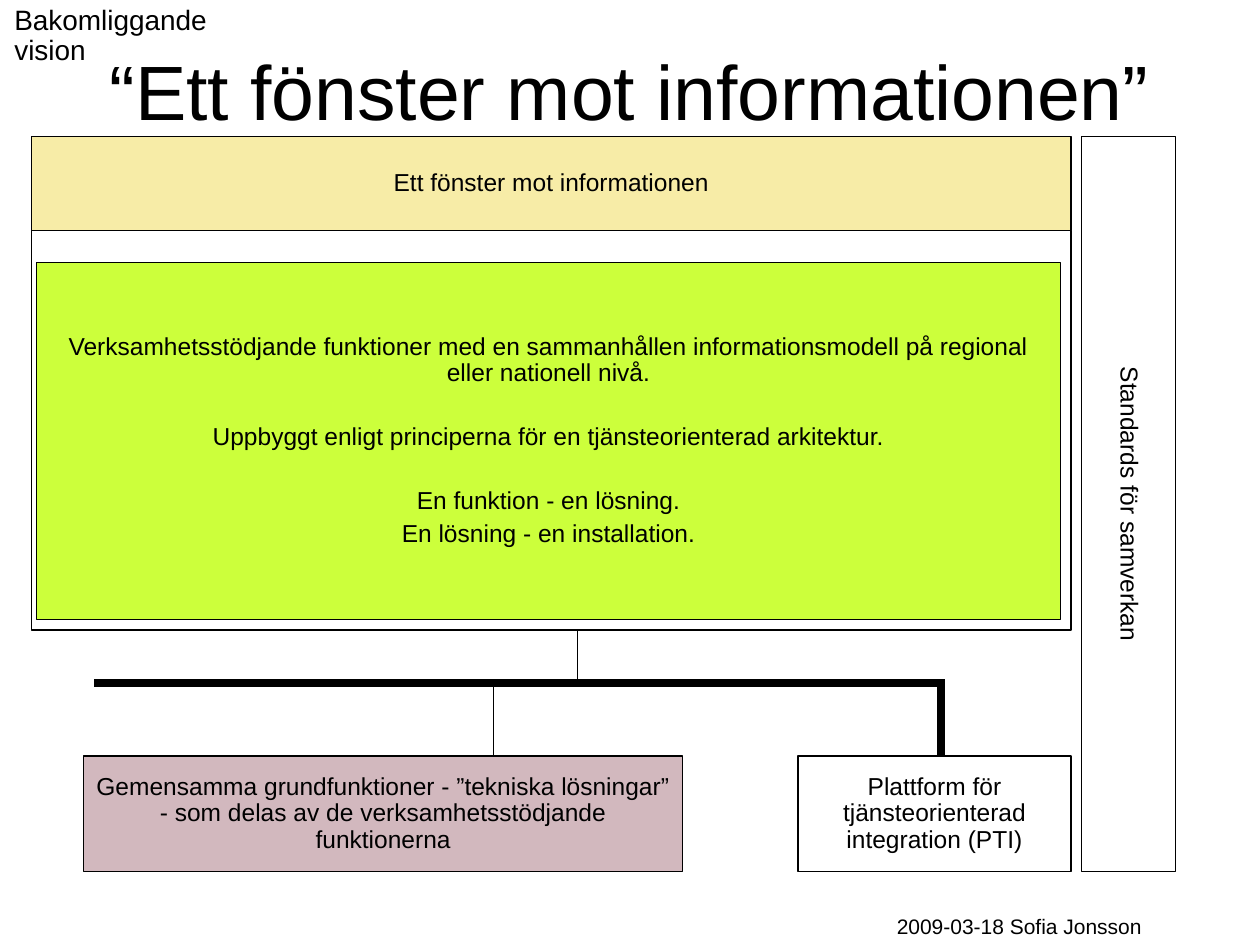
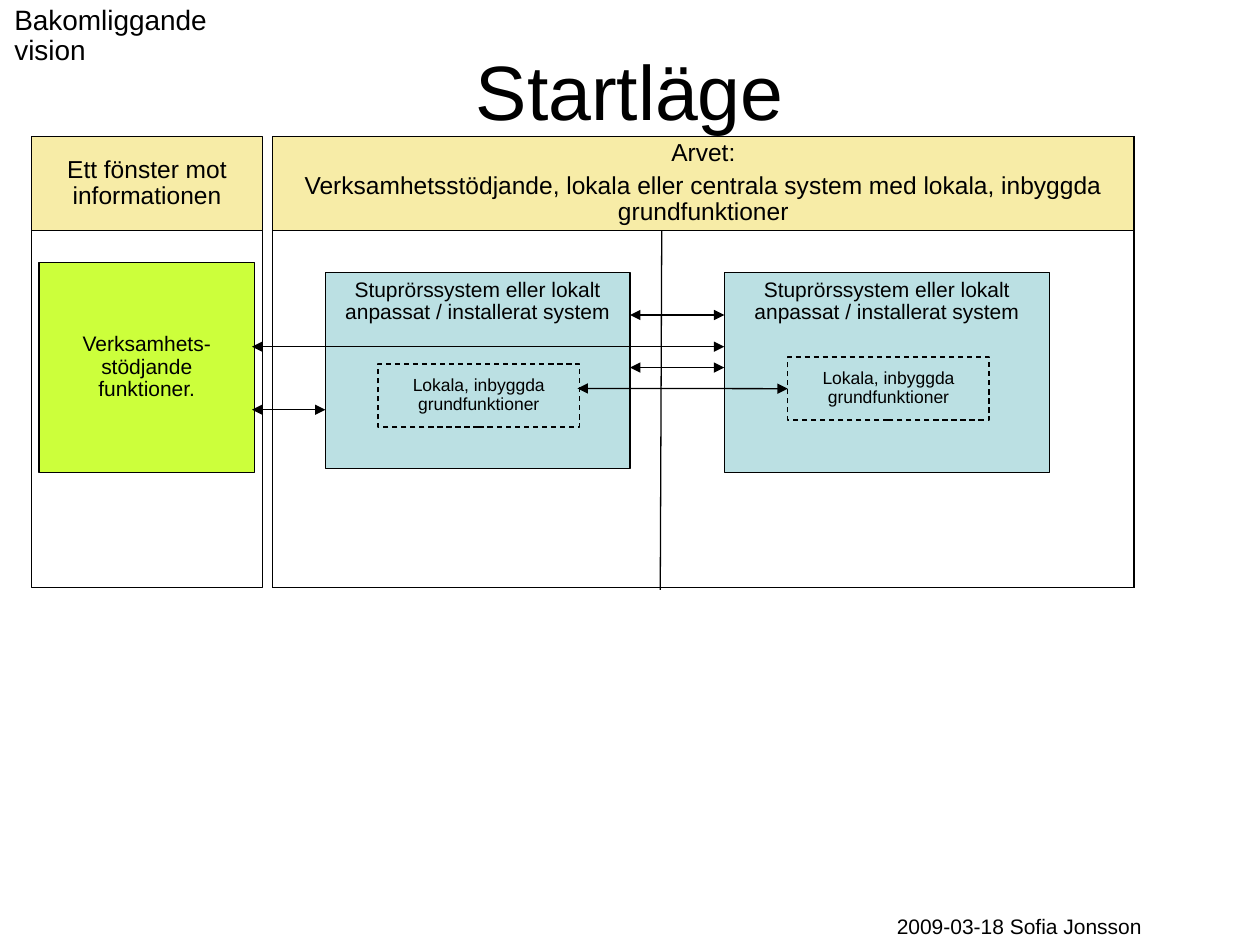
"""Build two slides on the vision of one window onto the information."""
from lxml.etree import SubElement
from pptx import Presentation
from pptx.dml.color import RGBColor
from pptx.enum.dml import MSO_LINE
from pptx.enum.shapes import MSO_CONNECTOR, MSO_SHAPE
from pptx.enum.text import MSO_ANCHOR, PP_ALIGN
from pptx.oxml.ns import qn
from pptx.util import Cm, Pt

BLACK = RGBColor(0x00, 0x00, 0x00)
WHITE = RGBColor(0xFF, 0xFF, 0xFF)
CREAM = RGBColor(0xF7, 0xEC, 0xA7)
LIME = RGBColor(0xCC, 0xFF, 0x3B)
ROSE = RGBColor(0xD2, 0xB8, 0xBE)
AQUA = RGBColor(0xBB, 0xE0, 0xE3)
FONT = "Arial"
THIN, THICK = 0.75, 4.5
TOP, BAND = 2.75, 1.9
BASE = TOP + BAND


def write(shape, text, size, align=PP_ALIGN.CENTER, space=0.9, gaps=()):
    frame = shape.text_frame
    frame.text = text
    for spot, para in enumerate(frame.paragraphs):
        para.alignment = align
        para.line_spacing = space
        if spot:
            para.space_before = Pt(gaps[spot - 1])
        for run in para.runs:
            run.font.name = FONT
            run.font.size = Pt(size)
            run.font.color.rgb = BLACK


def join(slide, x1, y1, x2, y2, width=THIN, heads=False):
    line = slide.shapes.add_connector(
        MSO_CONNECTOR.STRAIGHT, Cm(x1), Cm(y1), Cm(x2), Cm(y2))
    line.line.color.rgb = BLACK
    line.line.width = Pt(width)
    if heads:
        for tag in ("a:headEnd", "a:tailEnd"):
            SubElement(line.line._get_or_add_ln(), qn(tag), type="triangle")
    SubElement(line._element.spPr, qn("a:effectLst"))
    return line


deck = Presentation()
deck.slide_width, deck.slide_height = Cm(25.4), Cm(19.05)
goal, start = [deck.slides.add_slide(deck.slide_layouts[6]) for _ in range(2)]

WINDOW = "Ett fönster mot informationen"
LOCAL = "Lokala, inbyggda grundfunktioner"
SILO = "Stuprörssystem eller lokalt anpassat / installerat system"
VISION = "\n".join([
    "Verksamhetsstödjande funktioner med en sammanhållen "
    "informationsmodell på regional eller nationell nivå.",
    "Uppbyggt enligt principerna för en tjänsteorienterad arkitektur.",
    "En funktion - en lösning.",
    "En lösning - en installation."])
SHARED = ("Gemensamma grundfunktioner - ”tekniska lösningar” - som delas "
          "av de verksamhetsstödjande funktionerna")
LEGACY = ("Arvet:\nVerksamhetsstödjande, lokala eller centrala system "
          "med lokala, inbyggda grundfunktioner")

boxes = [
    (goal, 0.64, BASE, 20.95, 8.05, None, "", 14, ()),
    (goal, 0.64, TOP, 20.95, BAND, CREAM, WINDOW, 14, ()),
    (goal, 0.74, 5.29, 20.64, 7.2, LIME, VISION, 14, (21.5, 21.5, 3.5)),
    (goal, 16.09, 15.24, 5.5, 2.33, WHITE,
     "Plattform för tjänsteorienterad integration (PTI)", 14, ()),
    (goal, 1.69, 15.24, 12.07, 2.33, ROSE, SHARED, 14, ()),
    (goal, 15.34, 9.21, 14.82, BAND, WHITE, "Standards för samverkan", 14, ()),
    (start, 0.64, BASE, 4.65, 7.2, None, "", 14, ()),
    (start, 14.6, 5.5, 6.56, 4.02, AQUA, SILO, 12, ()),
    (start, 5.5, TOP, 17.36, BAND, CREAM, LEGACY, 14, (3.5,)),
    (start, 0.64, TOP, 4.65, BAND, CREAM, WINDOW, 14, ()),
    (start, 0.79, 5.29, 4.34, 4.23, LIME,
     "Verksamhets- stödjande funktioner.", 12, ()),
    (start, 6.56, 5.5, 6.14, 3.95, AQUA, SILO, 12, ()),
    (start, 7.62, 7.34, 4.06, 1.27, AQUA, LOCAL, 10, ()),
    (start, 15.88, 7.2, 4.06, 1.27, AQUA, LOCAL, 10, ()),
]
for slide, x, y, w, h, fill, text, size, gaps in boxes:
    box = slide.shapes.add_shape(
        MSO_SHAPE.RECTANGLE, Cm(x), Cm(y), Cm(w), Cm(h))
    box.shadow.inherit = False
    box.line.color.rgb = BLACK
    box.line.width = Pt(THIN)
    if fill is None:
        box.fill.background()
    else:
        box.fill.solid()
        box.fill.fore_color.rgb = fill
    if text:
        write(box, text, size, gaps=gaps)
    box.text_frame.vertical_anchor = (
        MSO_ANCHOR.TOP if text == SILO else MSO_ANCHOR.MIDDLE)
    if text == LOCAL:
        box.line.dash_style = MSO_LINE.DASH
    if text.startswith("Standards"):
        box.rotation = 90

BUS = 13.76
join(goal, 1.9, BUS, 19.05, BUS, THICK)
join(goal, 18.97, BUS, 18.97, 15.24, THICK)
join(goal, 9.95, BUS, 9.95, 15.24)
join(goal, 11.64, 12.7, 11.64, BUS)

FLOOR = 11.85
join(start, 5.5, FLOOR, 22.86, FLOOR)
for x in (5.5, 22.86):
    join(start, x, TOP, x, FLOOR)
join(start, 13.34, BASE, 13.31, 11.89)

for x1, x2, y in [(12.7, 14.6, 6.35), (12.7, 14.6, 7.41),
                  (5.08, 6.56, 8.26), (5.08, 14.6, 6.99)]:
    join(start, x1, y, x2, y, heads=True)
link = join(start, 11.64, 7.83, 15.88, 7.83, heads=True)
link.end_connect(box, 1)

LEFT, MID = PP_ALIGN.LEFT, PP_ALIGN.CENTER
for slide, title in [(goal, "“Ett fönster mot informationen”"),
                     (start, "Startläge")]:
    for x, y, w, h, text, size, align, space in [
            (15.7, 18.29, 9.7, 0.76, "2009-03-18 Sofia Jonsson", 12, MID, 1.0),
            (0.04, 0, 5.97, 0.86, "Bakomliggande vision", 16, LEFT, 0.9),
            (0, 0.76, 25.4, 3.18, title, 44, MID, 1.0)]:
        label = slide.shapes.add_textbox(Cm(x), Cm(y), Cm(w), Cm(h))
        label.text_frame.word_wrap = align == MID
        write(label, text, size, align, space)

deck.save("out.pptx")
